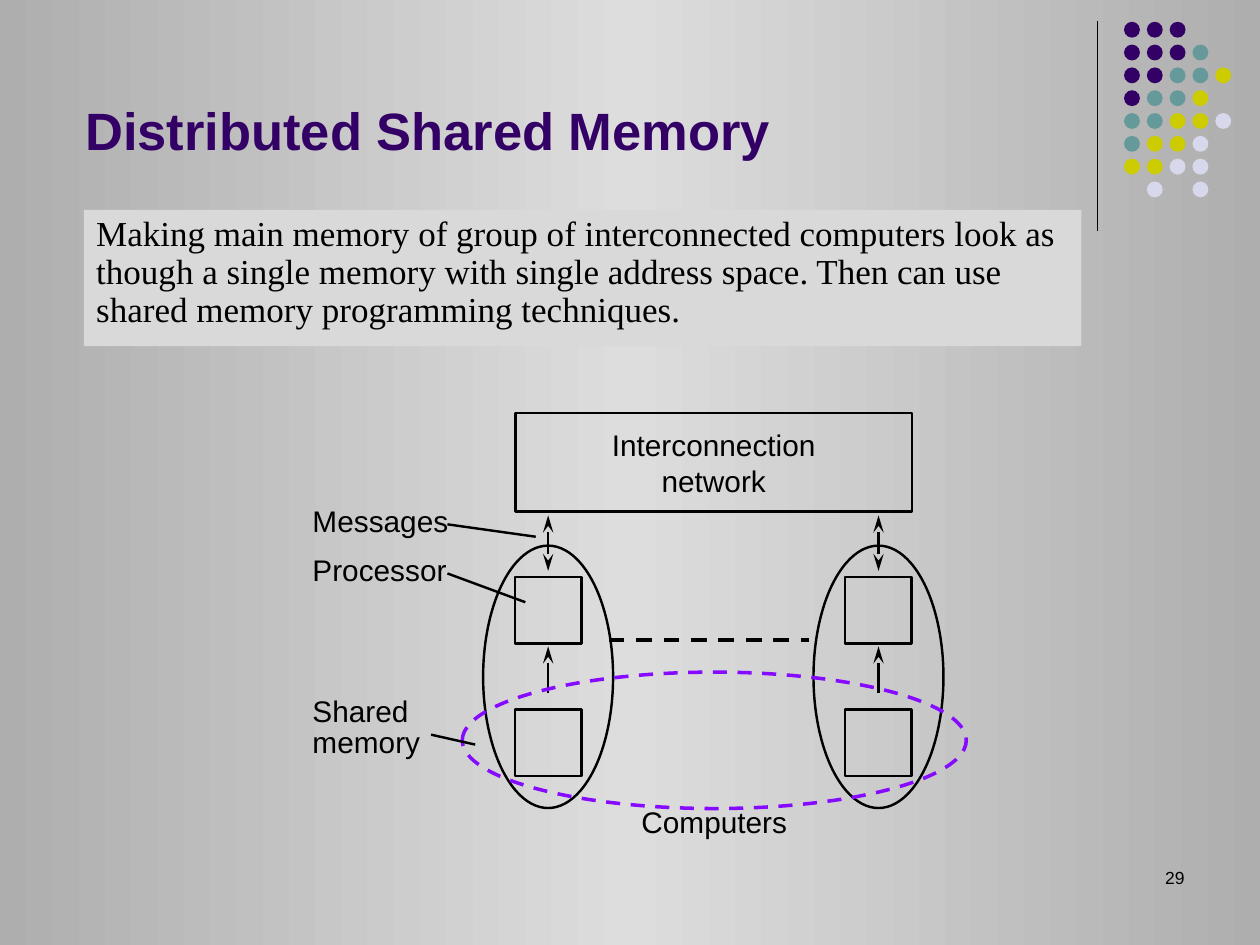
from copy import deepcopy

from lxml import etree
from pptx import Presentation
from pptx.dml.color import RGBColor
from pptx.enum.dml import MSO_LINE
from pptx.enum.shapes import MSO_CONNECTOR, MSO_SHAPE
from pptx.enum.text import MSO_ANCHOR, MSO_AUTO_SIZE, PP_ALIGN
from pptx.oxml.ns import qn
from pptx.util import Cm, Pt

RECTANGLE, OVAL = MSO_SHAPE.RECTANGLE, MSO_SHAPE.OVAL
STRAIGHT, DASH = MSO_CONNECTOR.STRAIGHT, MSO_LINE.DASH
LEFT, CENTER, RIGHT = PP_ALIGN.LEFT, PP_ALIGN.CENTER, PP_ALIGN.RIGHT
TOP, MIDDLE, BOTTOM = MSO_ANCHOR.TOP, MSO_ANCHOR.MIDDLE, MSO_ANCHOR.BOTTOM
TITLE_ONLY = 5

BLACK, PURPLE = "000000", "330066"
DOT_COLOURS = {"P": PURPLE, "T": "669999", "Y": "CCCC00", "L": "D8D8EC"}
DOT_ROWS = ["PPP", "PPPT", "PPTTY", "PTTY", "TTYYL", "TYYL", "YYLL", " L L"]
STROKE = 1.39
LABEL_SIZE = 17


def rgb(value):
    return RGBColor.from_string(value)


def set_background(page):
    """Horizontal gradient: grey, lighter in the middle, grey."""
    fill = page.background.fill
    fill.gradient()
    fill.gradient_angle = 0
    for stop in fill.gradient_stops:
        stop.color.rgb = rgb("AEAEAE")
    stops = page.element.find(".//" + qn("a:gsLst"))
    middle = deepcopy(stops[0])
    middle.set("pos", "50000")
    middle.find(qn("a:srgbClr")).set("val", "DDDDDD")
    stops.insert(1, middle)


def set_line(line, colour, width, dash=None):
    line.color.rgb = rgb(colour)
    line.width = Pt(width)
    if dash:
        line.dash_style = dash


def write(shape, text, size, font="Arial", colour=BLACK, bold=False, align=LEFT,
          anchor=TOP, insets=(0, 0), wrap=True, spacing=None, before=0):
    """Fill a shape with text; insets are horizontal and vertical, in cm."""
    frame = shape.text_frame
    frame.text = text
    frame.word_wrap = wrap
    frame.auto_size = MSO_AUTO_SIZE.NONE
    frame.vertical_anchor = anchor
    frame.margin_left = frame.margin_right = Cm(insets[0])
    frame.margin_top = frame.margin_bottom = Cm(insets[1])
    for para in frame.paragraphs:
        para.alignment = align
        para.space_before = Pt(before)
        if spacing:
            para.line_spacing = spacing
        para.font.name = font
        para.font.size = Pt(size)
        para.font.bold = bold
        para.font.color.rgb = rgb(colour)


def add_shape(page, kind, left, top, width, height, fill=None, line=None,
              stroke=STROKE, dash=None):
    shape = page.shapes.add_shape(kind, Cm(left), Cm(top), Cm(width), Cm(height))
    shape.shadow.inherit = False
    if fill:
        shape.fill.solid()
        shape.fill.fore_color.rgb = rgb(fill)
    else:
        shape.fill.background()
    if line:
        set_line(shape.line, line, stroke, dash)
    else:
        shape.line.fill.background()
    return shape


def add_line(page, x1, y1, x2, y2, stroke=STROKE, dash=None, heads=()):
    """Straight line; heads names the ends with arrowheads: headEnd, tailEnd."""
    line = page.shapes.add_connector(STRAIGHT, Cm(x1), Cm(y1), Cm(x2), Cm(y2))
    set_line(line.line, BLACK, stroke, dash)
    outline = line.line._get_or_add_ln()
    for head in heads:
        etree.SubElement(outline, qn("a:" + head), type="stealth", w="med", len="lg")
    etree.SubElement(line.element.spPr, qn("a:effectLst"))


def add_label(page, text, left, top, width, height=0.71, **style):
    box = page.shapes.add_textbox(Cm(left), Cm(top), Cm(width), Cm(height))
    write(box, text, **{"size": LABEL_SIZE, "wrap": False, **style})


def add_corner_ornament(page):
    add_line(page, 22.12, 0.43, 22.12, 4.65, stroke=0.75)
    pitch, diameter = 0.46, 0.32
    for row, codes in enumerate(DOT_ROWS):
        for column, code in enumerate(codes):
            if code in DOT_COLOURS:
                add_shape(page, OVAL, 22.66 + column * pitch, 0.44 + row * pitch,
                          diameter, diameter, fill=DOT_COLOURS[code])


def add_title(page, text):
    title = page.shapes.title
    title.left, title.top = Cm(1.47), Cm(0.63)
    title.width, title.height = Cm(19.25), Cm(2.74)
    write(title, text, 30, colour=PURPLE, bold=True, anchor=BOTTOM,
          insets=(0.25, 0.13))


def add_computer(page, center):
    """Oval with processor above memory, linked to the network above."""
    side = 1.34
    add_shape(page, OVAL, center - 1.31, 11, 2.62, 5.29, line=BLACK)
    for top in (11.63, 14.3):
        add_shape(page, RECTANGLE, center - side / 2, top, side, side, line=BLACK)
    add_line(page, center, 10.39, center, 11.51, heads=("headEnd", "tailEnd"))
    add_line(page, center, 13.97, center, 13.03, heads=("tailEnd",))


def add_diagram(page):
    network = add_shape(page, RECTANGLE, 10.39, 8.33, 8, 1.98, line=BLACK)
    write(network, "Interconnection\nnetwork", LABEL_SIZE, align=CENTER, anchor=MIDDLE)
    for center in (11.05, 17.71):
        add_computer(page, center)
    add_line(page, 12.27, 12.91, 16.3, 12.91, stroke=2.25, dash=DASH)
    add_shape(page, OVAL, 9.32, 13.55, 10.16, 2.75, line="850AFF", stroke=2, dash=DASH)

    add_label(page, "Messages", 6.3, 10.13, 2.74)
    add_label(page, "Processor", 6.3, 11.13, 2.72)
    add_label(page, "Shared\nmemory", 6.3, 14.05, 2.18, 1.25, spacing=0.88)
    add_label(page, "Computers", 12.93, 16.21, 2.95)
    for pointer in ((9.02, 10.57, 10.8, 10.82),
                    (9.02, 11.56, 10.59, 12.14),
                    (8.69, 14.81, 9.58, 15.01)):
        add_line(page, *pointer)


def main():
    deck = Presentation()
    deck.slide_width, deck.slide_height = Cm(25.4), Cm(19.05)
    page = deck.slides.add_slide(deck.slide_layouts[TITLE_ONLY])
    set_background(page)
    add_corner_ornament(page)
    add_title(page, "Distributed Shared Memory")
    summary = add_shape(page, RECTANGLE, 1.69, 4.23, 20.11, 2.75, fill="D9D9D9")
    write(summary, "Making main memory of group of interconnected computers look as "
          "though a single memory with single address space. Then can use "
          "shared memory programming techniques.", 20, font="Times New Roman",
          insets=(0.25, 0.13), spacing=0.9, before=5)
    add_diagram(page)
    add_label(page, "29", 18.21, 17.35, 5.92, 1.27, size=10, align=RIGHT,
              insets=(0.25, 0.13), wrap=True)
    deck.save("out.pptx")


if __name__ == "__main__":
    main()
